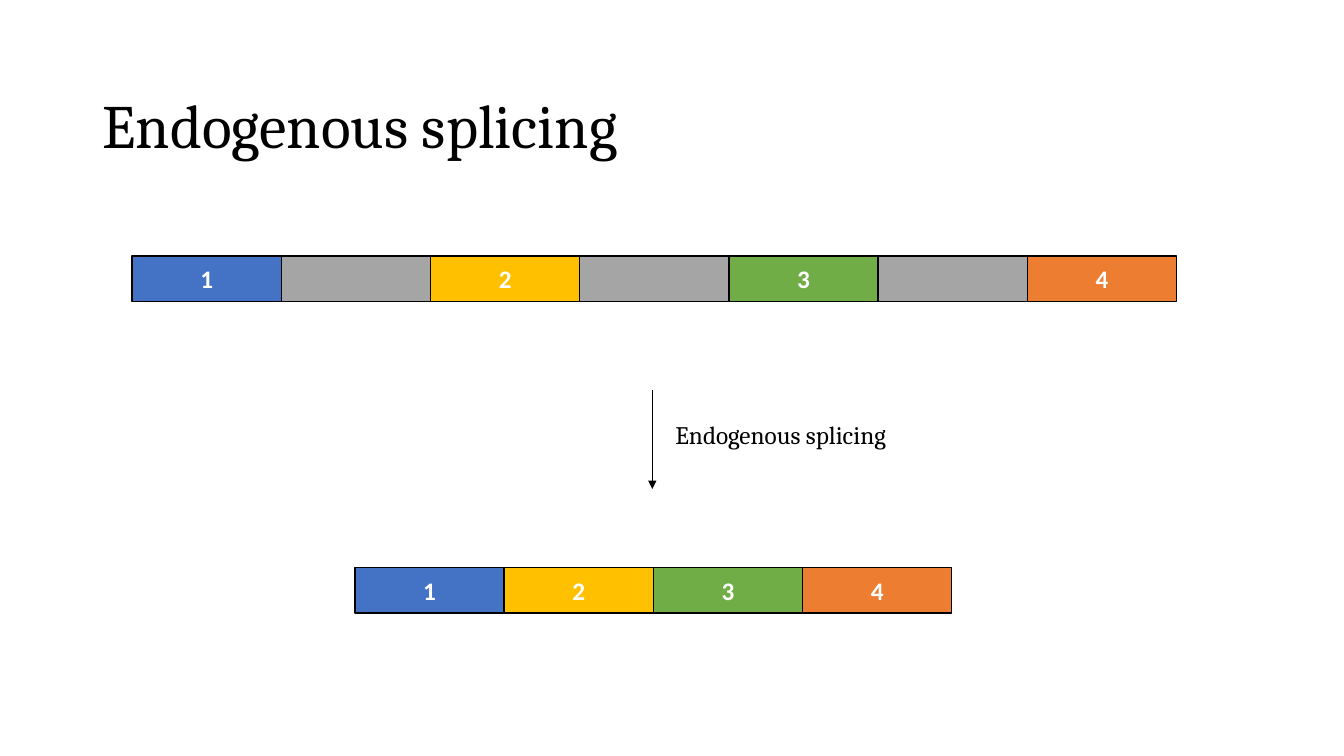
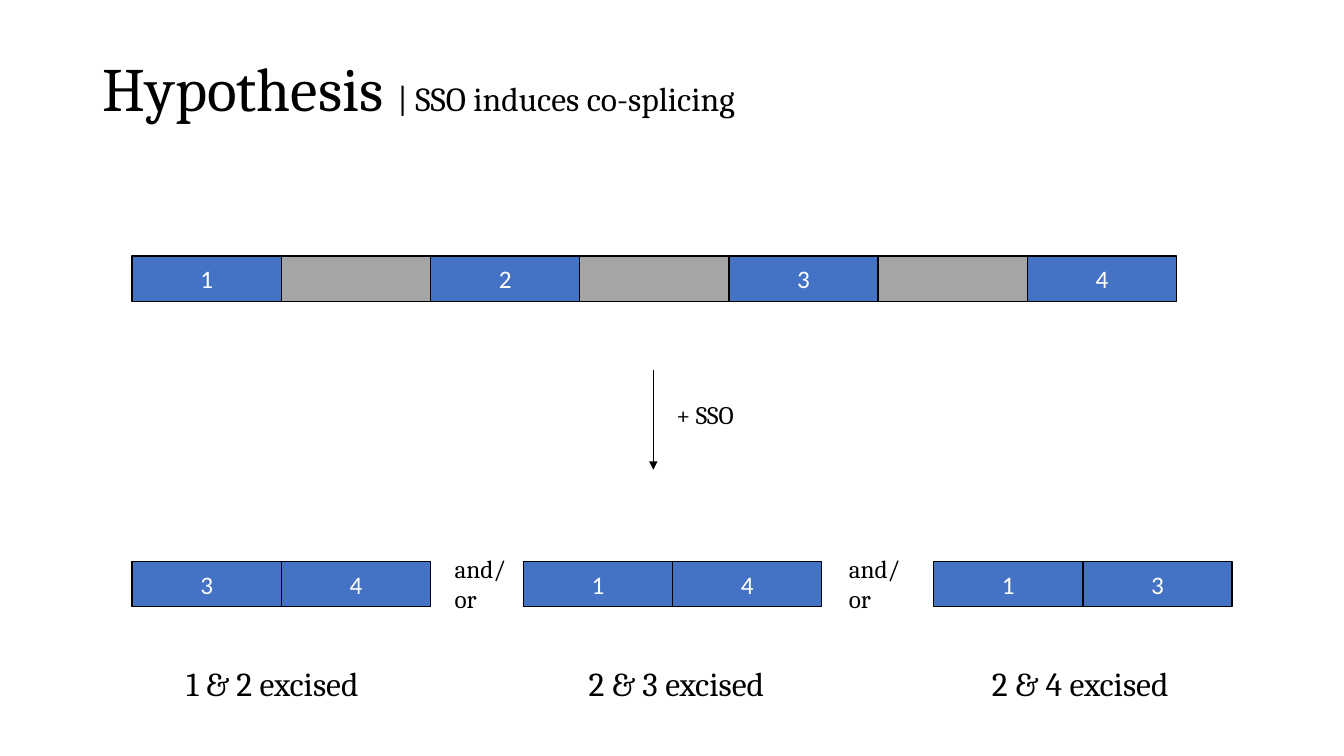
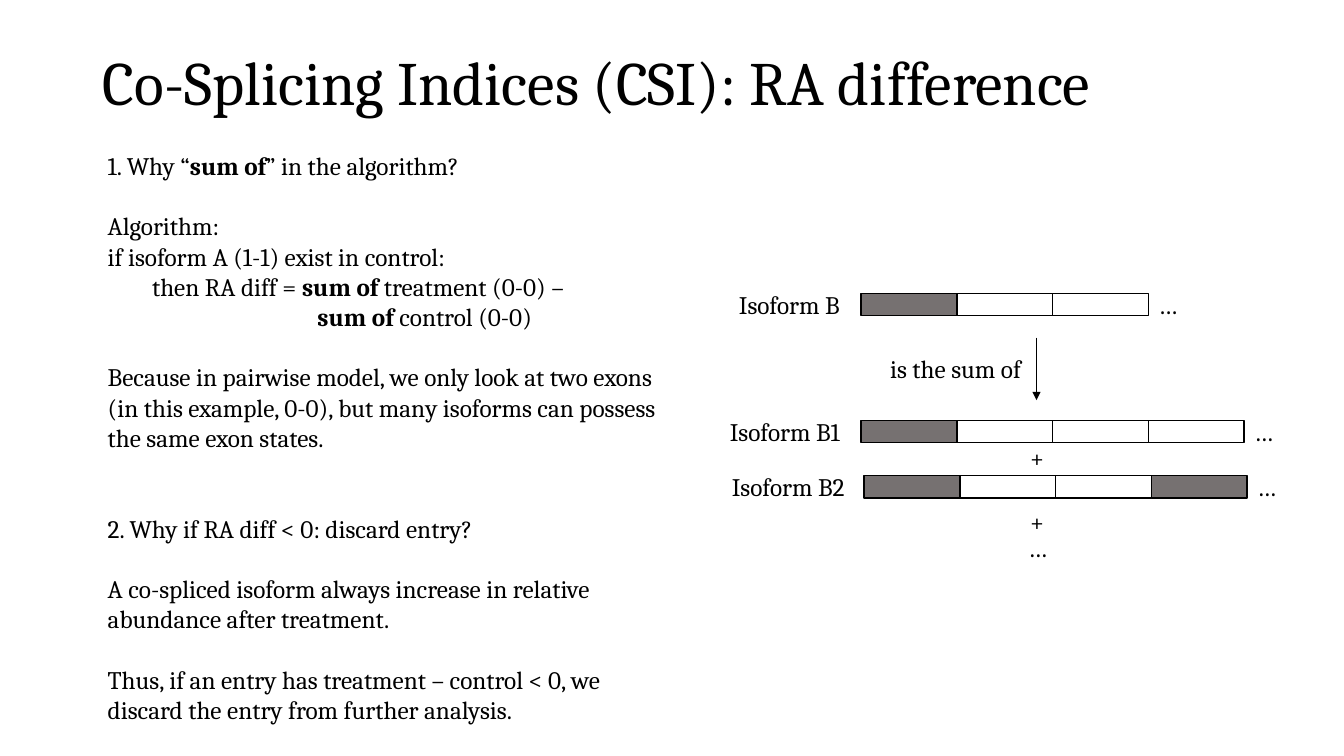
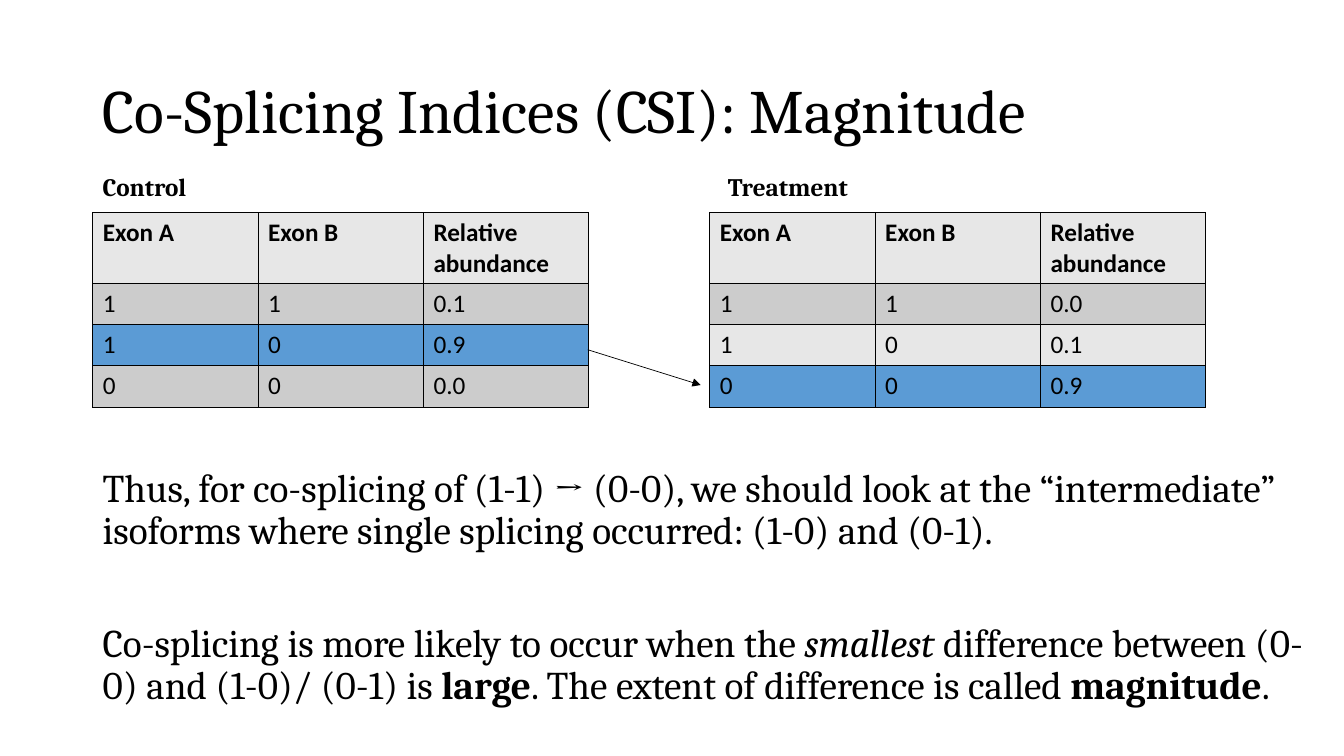
import dataclasses

import lxml.etree
import pptx
import pptx.dml.color
import pptx.enum.shapes
import pptx.enum.text
import pptx.oxml.ns
import pptx.util

Inches = pptx.util.Inches
Pt = pptx.util.Pt
qn = pptx.oxml.ns.qn

COLORS = {
    "black": "000000", "white": "FFFFFF", "blue": "4472C4", "gold": "FFC000",
    "green": "70AD47", "orange": "ED7D31", "intron": "A5A5A5", "skipped": "767171",
    "light": "E7E7E7", "band": "CCCCCC", "highlight": "5B9BD5",
}
TITLE = {"name": "Cambria", "size": Pt(44)}
BODY = {"name": "Cambria", "size": Pt(28)}
LABEL = {"name": "Cambria", "size": Pt(18)}
OUTCOME = {"name": "Cambria", "size": Pt(24)}
SANS = {"name": "Calibri", "size": Pt(18)}
BOLD = {"bold": True}
ITALIC = {"italic": True}

EXON_WIDTH, EXON_HEIGHT = 1.48, 0.45
EXON_COLORS = {"1": "blue", "2": "gold", "3": "green", "4": "orange"}
GENE = ["1", "", "2", "", "3", "", "4"]
GENE_LEFT, GENE_TOP = 1.31, 2.54
STATE_WIDTH, STATE_HEIGHT = 0.95, 0.22
TABLE_TOP, COLUMN_WIDTH, ROW_HEIGHTS = 2.11, 1.64, (0.7, 0.41, 0.41, 0.41)
TABLE_HEADER = ("Exon A", "Exon B", "Relative abundance")


@dataclasses.dataclass
class Para:
    """Runs are (text, format) pairs; before is in points, indent in inches."""
    runs: list
    before: float = 0
    indent: float = 0


def rgb(color):
    return pptx.dml.color.RGBColor.from_string(COLORS[color])


def add_run(paragraph, text, style, color="black"):
    run = paragraph.add_run()
    run.text = text
    for name, value in style.items():
        setattr(run.font, name, value)
    run.font.color.rgb = rgb(color)


def add_text(slide, left, top, width, height, content, style, line_spacing=None):
    """Content is one string or a list of Para."""
    frame = slide.shapes.add_textbox(
        Inches(left), Inches(top), Inches(width), Inches(height)).text_frame
    frame.word_wrap = True
    paras = [Para([(content, {})])] if isinstance(content, str) else content
    for index, para in enumerate(paras):
        paragraph = frame.add_paragraph() if index else frame.paragraphs[0]
        paragraph.space_before = Pt(para.before)
        paragraph.line_spacing = line_spacing
        if para.indent:
            paragraph._p.get_or_add_pPr().set("marL", str(Inches(para.indent)))
        for text, emphasis in para.runs:
            add_run(paragraph, text, {**style, **emphasis})
    return frame


def add_titled_slide(deck, title, top, subtitle=""):
    slide = deck.slides.add_slide(deck.slide_layouts[6])
    runs = [(title, {})]
    if subtitle:
        runs.append((subtitle, {"size": Pt(24)}))
    frame = add_text(slide, 0.92, top, 11.5, 1.45, [Para(runs)], TITLE, 0.9)
    frame.vertical_anchor = pptx.enum.text.MSO_ANCHOR.MIDDLE
    return slide


def add_block(slide, left, top, width, height, color, text="", bold=False):
    block = slide.shapes.add_shape(
        pptx.enum.shapes.MSO_SHAPE.RECTANGLE,
        Inches(left), Inches(top), Inches(width), Inches(height))
    block.shadow.inherit = False
    block.fill.solid()
    block.fill.fore_color.rgb = rgb(color)
    block.line.color.rgb = rgb("black")
    block.line.width = Pt(1)
    if text:
        block.text_frame.vertical_anchor = pptx.enum.text.MSO_ANCHOR.MIDDLE
        paragraph = block.text_frame.paragraphs[0]
        paragraph.alignment = pptx.enum.text.PP_ALIGN.CENTER
        add_run(paragraph, text, {**SANS, "bold": bold}, "white")


def add_transcript(slide, left, top, segments, colored=False):
    """Numbered segments are exons, unnumbered ones introns."""
    for index, number in enumerate(segments):
        exon_color = EXON_COLORS[number] if colored and number else "blue"
        add_block(slide, left + index * EXON_WIDTH, top, EXON_WIDTH, EXON_HEIGHT,
                  exon_color if number else "intron", number, colored)


def add_isoform(slide, name, name_left, left, top, states):
    """Draw a named row of exon states, 0 being skipped."""
    add_text(slide, name_left, top - 0.09, 1.41, 0.4, name, LABEL)
    for index, state in enumerate(states):
        add_block(slide, left + index * STATE_WIDTH, top, STATE_WIDTH, STATE_HEIGHT,
                  "white" if state == "1" else "skipped")
    add_text(slide, left + len(states) * STATE_WIDTH, top - 0.09, 0.6, 0.4, "…", LABEL)


def add_arrow(slide, start, end):
    arrow = slide.shapes.add_connector(
        pptx.enum.shapes.MSO_CONNECTOR.STRAIGHT,
        *(Inches(value) for value in (*start, *end)))
    arrow.line.color.rgb = rgb("black")
    arrow.line.width = Pt(0.5)
    lxml.etree.SubElement(arrow.line._get_or_add_ln(), qn("a:tailEnd"), type="triangle")
    lxml.etree.SubElement(arrow._element.spPr, qn("a:effectLst"))


def add_borders(cell):
    properties = cell._tc.get_or_add_tcPr()
    for index, side in enumerate(("lnL", "lnR", "lnT", "lnB")):
        border = lxml.etree.Element(qn("a:" + side), w=str(Pt(1)))
        fill = lxml.etree.SubElement(border, qn("a:solidFill"))
        lxml.etree.SubElement(fill, qn("a:srgbClr"), val=COLORS["black"])
        properties.insert(index, border)


def add_abundance_table(slide, left, rows, highlighted):
    rows = [TABLE_HEADER, *rows]
    table = slide.shapes.add_table(
        len(rows), len(TABLE_HEADER), Inches(left), Inches(TABLE_TOP),
        Inches(COLUMN_WIDTH * len(TABLE_HEADER)), Inches(sum(ROW_HEIGHTS))).table
    table.first_row = table.horz_banding = False
    for column in table.columns:
        column.width = Inches(COLUMN_WIDTH)
    for row_index, values in enumerate(rows):
        table.rows[row_index].height = Inches(ROW_HEIGHTS[row_index])
        color = "band" if row_index % 2 else "light"
        if row_index == highlighted:
            color = "highlight"
        for column_index, value in enumerate(values):
            cell = table.cell(row_index, column_index)
            cell.fill.solid()
            cell.fill.fore_color.rgb = rgb(color)
            add_run(cell.text_frame.paragraphs[0], value, {**SANS, "bold": row_index == 0})
            add_borders(cell)


def build_endogenous(deck):
    slide = add_titled_slide(deck, "Endogenous splicing", 0.55)
    add_transcript(slide, GENE_LEFT, GENE_TOP, GENE, colored=True)
    add_arrow(slide, (6.47, 3.87), (6.47, 4.85))
    add_text(slide, 6.6, 4.11, 2.62, 0.4, "Endogenous splicing", LABEL)
    add_transcript(slide, 3.52, 5.63, list("1234"), colored=True)


def build_hypothesis(deck):
    slide = add_titled_slide(deck, "Hypothesis ", 0.18, "| SSO induces co-splicing")
    add_transcript(slide, GENE_LEFT, GENE_TOP, GENE)
    add_arrow(slide, (6.48, 3.67), (6.48, 4.66))
    add_text(slide, 6.61, 3.91, 2.3, 0.4, "+ SSO", LABEL)
    outcomes = [
        (GENE_LEFT, "34", 1.75, "1 & 2 excised"),
        (5.19, "14", 5.74, "2 & 3 excised"),
        (9.26, "13", 9.74, "2 & 4 excised"),
    ]
    for left, kept, caption_left, caption in outcomes:
        add_transcript(slide, left, 5.57, list(kept))
        add_text(slide, caption_left, 6.53, 2.08, 0.5, caption, OUTCOME)
    for left in (4.41, 8.32):
        add_text(slide, left, 5.44, 0.77, 0.71, "and/or", LABEL)


def build_difference(deck):
    slide = add_titled_slide(deck, "Co-Splicing Indices (CSI): RA difference", 0.12)
    line = 21.6
    reasoning = [
        Para([("1. Why “", {}), ("sum of", BOLD), ("” in the algorithm?", {})]),
        Para([("Algorithm:", {})], line),
        Para([("if isoform A (1-1) exist in control:", {})]),
        Para([("then RA diff = ", {}), ("sum of ", BOLD), ("treatment (0-0) –", {})],
             indent=0.44),
        Para([("sum of ", BOLD), ("control (0-0)", {})], indent=2.08),
        Para([("Because in pairwise model, we only look at two exons (in this example, "
               "0-0), but many isoforms can possess the same exon states.", {})], line),
        Para([("2. Why if RA diff < 0: discard entry?", {})], 2 * line),
        Para([("A co-spliced isoform always increase in relative abundance "
               "after treatment.", {})], line),
        Para([("Thus, if an entry has treatment – control < 0, we discard the entry "
               "from further analysis.", {})], line),
    ]
    add_text(slide, 0.97, 1.44, 5.75, 5.9, reasoning, LABEL)
    add_isoform(slide, "Isoform B", 7.23, 8.54, 2.91, "011")
    add_isoform(slide, "Isoform B1", 7.14, 8.54, 4.17, "0111")
    add_isoform(slide, "Isoform B2", 7.16, 8.57, 4.72, "0110")
    add_arrow(slide, (10.28, 3.35), (10.28, 3.97))
    add_text(slide, 8.73, 3.46, 1.5, 0.4, "is the sum of", LABEL)
    for left, top, symbol in ((10.12, 4.34, "+"), (10.12, 4.97, "+"), (10.1, 5.23, "…")):
        add_text(slide, left, top, 0.6, 0.4, symbol, LABEL)


def build_magnitude(deck):
    slide = add_titled_slide(deck, "Co-Splicing Indices (CSI): Magnitude", 0.4)
    conditions = [
        ("Control", 0.92, 0.92, ["1 1 0.1", "1 0 0.9", "0 0 0.0"], 2),
        ("Treatment", 7.12, 7.04, ["1 1 0.0", "1 0 0.1", "0 0 0.9"], 3),
    ]
    for name, name_left, left, rows, highlighted in conditions:
        add_text(slide, name_left, 1.65, 2, 0.4, name, {**LABEL, **BOLD})
        add_abundance_table(slide, left, [row.split() for row in rows], highlighted)
    add_arrow(slide, (5.83, 3.47), (6.95, 3.82))
    conclusion = [
        Para([("Thus, for co-splicing of (1-1) → (0-0), we should look at the "
               "“intermediate” isoforms where single splicing occurred: "
               "(1-0) and (0-1).", {})]),
        Para([("Co-splicing is more likely to occur when the ", {}),
              ("smallest", ITALIC),
              (" difference between (0-0) and (1-0)/ (0-1) is ", {}),
              ("large", BOLD),
              (". The extent of difference is called ", {}),
              ("magnitude", BOLD),
              (".", {})], 50),
    ]
    add_text(slide, 0.92, 4.6, 12.26, 2.8, conclusion, BODY, 0.9)


def main():
    deck = pptx.Presentation()
    deck.slide_width, deck.slide_height = Inches(13.33), Inches(7.5)
    for build in (build_endogenous, build_hypothesis, build_difference, build_magnitude):
        build(deck)
    deck.save("out.pptx")


if __name__ == "__main__":
    main()
